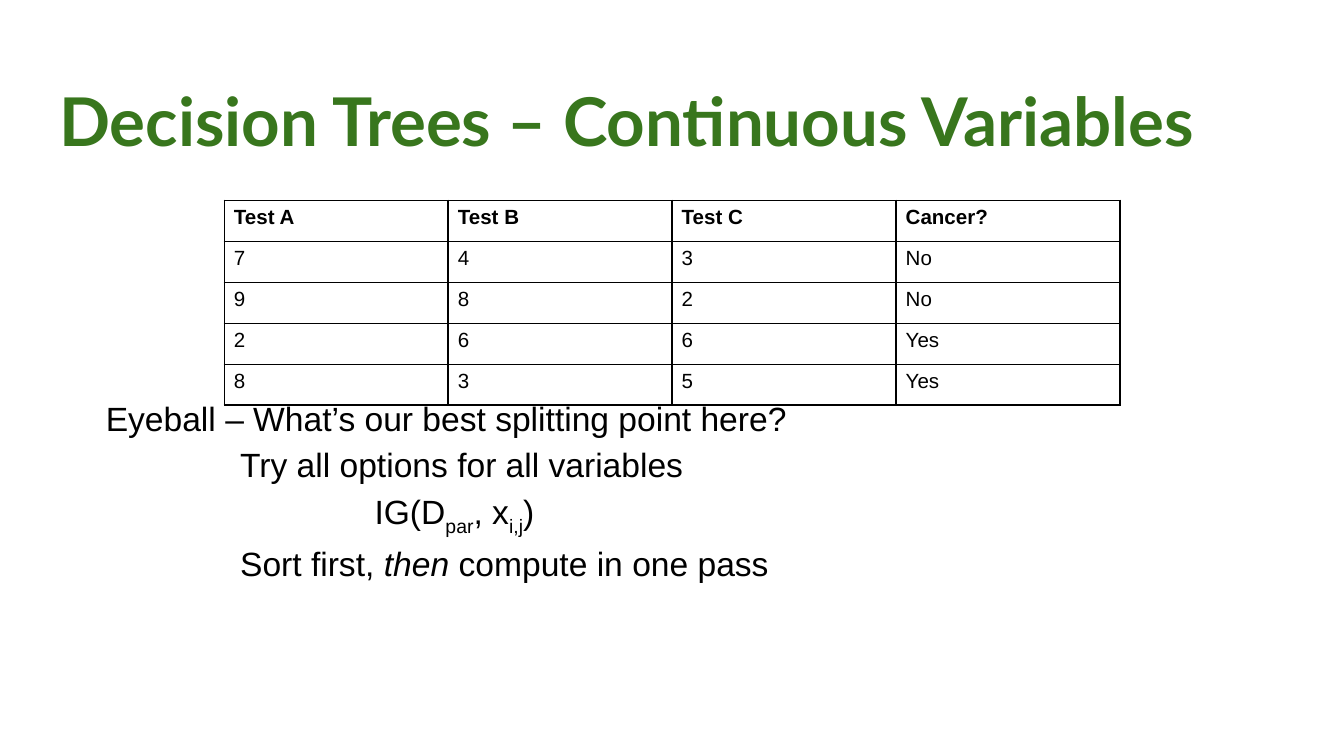
from dataclasses import dataclass
from lxml.etree import SubElement
from pptx import Presentation
from pptx.dml.color import RGBColor as Color
from pptx.oxml.ns import qn
from pptx.util import Cm, Pt


@dataclass(frozen=True)
class Theme:
    green: Color = Color(0x38, 0x76, 0x1D)
    black: Color = Color(0, 0, 0)
    white: Color = Color(255, 255, 255)
    heading_font: str = "Lato"
    body_font: str = "Arial"
    title_size: int = 36
    body_size: int = 18
    table_size: int = 11
    border: float = 1


THEME = Theme()
INSET = Cm(0.25)
STEP = Cm(2.54)

RESULTS = [
    ["Test A", "Test B", "Test C", "Cancer?"],
    ["7", "4", "3", "No"],
    ["9", "8", "2", "No"],
    ["2", "6", "6", "Yes"],
    ["8", "3", "5", "Yes"],
]

NOTES = [
    (0, [("Eyeball – What’s our best splitting point here?", {})]),
    (1, [("Try all options for all variables", {})]),
    (2, [("IG(D", {}), ("par", {"baseline": -25}), (", x", {}),
         ("i,j", {"baseline": -25}), (")", {})]),
    (1, [("Sort first, ", {}), ("then", {"italic": True}),
         (" compute in one pass", {})]),
]


def add_span(para, text, font=THEME.body_font, size=THEME.body_size,
             color=THEME.black, bold=False, italic=False, baseline=0):
    span = para.add_run()
    span.text = text
    span.font.name = font
    span.font.size = Pt(size)
    span.font.color.rgb = color
    span.font.bold = bold
    span.font.italic = italic
    if baseline:
        span.font._element.set("baseline", str(baseline * 1000))


def add_frame(page, box, top=INSET):
    frame = page.shapes.add_textbox(*box).text_frame
    frame.word_wrap = True
    frame.margin_left = frame.margin_right = frame.margin_bottom = INSET
    frame.margin_top = top
    return frame


def add_title(page, box, text):
    frame = add_frame(page, box)
    add_span(frame.paragraphs[0], text, font=THEME.heading_font,
             size=THEME.title_size, color=THEME.green, bold=True)


def add_notes(page, box, notes, top):
    frame = add_frame(page, box, top)
    for index, (level, spans) in enumerate(notes):
        para = frame.add_paragraph() if index else frame.paragraphs[0]
        para.line_spacing = 1.15
        para._p.get_or_add_pPr().set("marL", str(level * STEP))
        for text, style in spans:
            add_span(para, text, **style)


def add_borders(cell):
    properties = cell._tc.get_or_add_tcPr()
    for side in ("lnL", "lnR", "lnT", "lnB"):
        line = SubElement(properties, qn(f"a:{side}"), w=str(Pt(THEME.border)))
        fill = SubElement(line, qn("a:solidFill"))
        SubElement(fill, qn("a:srgbClr"), val=str(THEME.black))


def add_results(page, box, rows):
    table = page.shapes.add_table(len(rows), len(rows[0]), *box).table
    for row_index, row in enumerate(rows):
        for column_index, text in enumerate(row):
            cell = table.cell(row_index, column_index)
            cell.margin_left = cell.margin_right = Cm(0.18)
            cell.margin_top = cell.margin_bottom = Cm(0.1)
            add_borders(cell)
            cell.fill.solid()
            cell.fill.fore_color.rgb = THEME.white
            add_span(cell.text_frame.paragraphs[0], text,
                     size=THEME.table_size, bold=row_index == 0)


def main():
    deck = Presentation()
    deck.slide_width, deck.slide_height = Cm(25.4), Cm(14.29)
    page = deck.slides.add_slide(deck.slide_layouts[6])
    add_title(page, (Cm(0.87), Cm(1.25), Cm(23.67), Cm(1.6)),
              "Decision Trees – Continuous Variables")
    add_notes(page, (Cm(1.75), Cm(3.81), Cm(21.9), Cm(10.48)), NOTES, Cm(3.81))
    add_results(page, (Cm(4.24), Cm(3.79), Cm(16.93), Cm(3.87)), RESULTS)
    deck.save("out.pptx")


if __name__ == "__main__":
    main()
